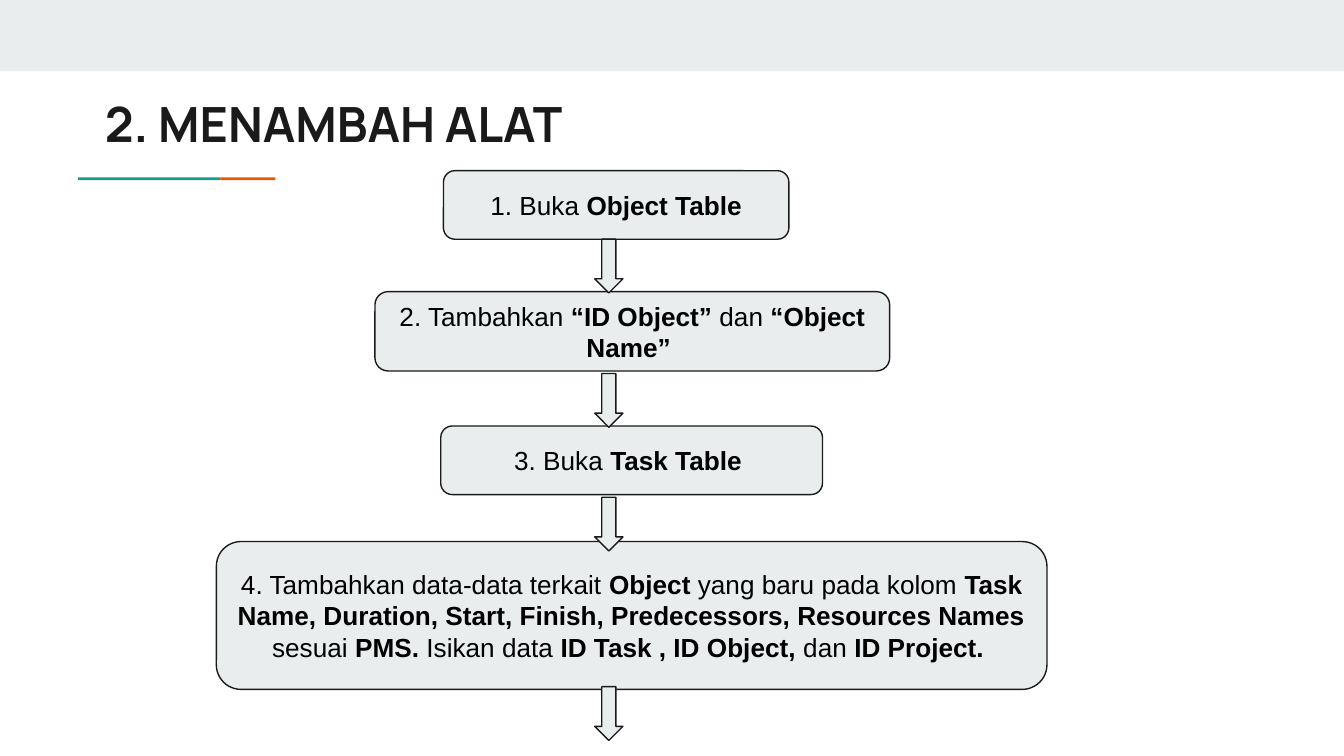
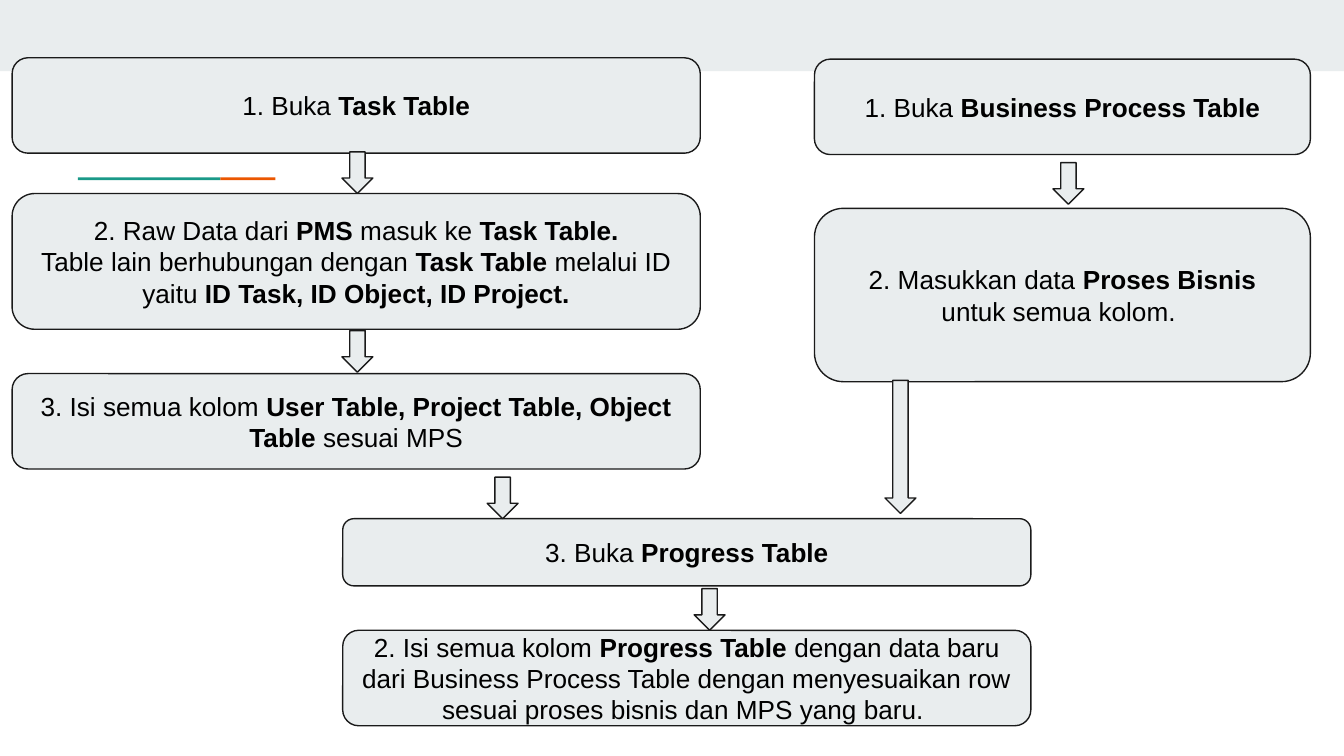
from dataclasses import dataclass

from pptx import Presentation
from pptx.dml.color import RGBColor
from pptx.enum.shapes import MSO_SHAPE
from pptx.enum.text import MSO_ANCHOR, MSO_AUTO_SIZE, PP_ALIGN
from pptx.util import Inches, Pt

RECT, ROUNDED = MSO_SHAPE.RECTANGLE, MSO_SHAPE.ROUNDED_RECTANGLE
DOWN_ARROW = MSO_SHAPE.DOWN_ARROW
LEFT, CENTER = PP_ALIGN.LEFT, PP_ALIGN.CENTER
TOP, MIDDLE = MSO_ANCHOR.TOP, MSO_ANCHOR.MIDDLE
NO_AUTOFIT = MSO_AUTO_SIZE.NONE
TITLE_ONLY, BLANK = 5, 6
SLIDE_WIDTH = 10
SLIDE_HEIGHT = SLIDE_WIDTH * 9 / 16


@dataclass(frozen=True)
class Theme:
    panel: str = "E9EDEE"
    ink: str = "1A1A1A"
    text: str = "000000"
    teal: str = "1A9988"
    orange: str = "EB5600"
    title_font: str = "Manrope"
    body_font: str = "Arial"
    title_size: float = 26
    body_size: float = 14
    line_width: float = 0.75
    inset: float = 0.1


THEME = Theme()


def write(shape, text, font=THEME.body_font, size=THEME.body_size,
          color=THEME.text, align=CENTER, anchor=MIDDLE):
    """Fill a shape with text; ** switches bold on and off, a newline starts a paragraph."""
    tf = shape.text_frame
    tf.word_wrap = True
    tf.auto_size = NO_AUTOFIT
    tf.vertical_anchor = anchor
    tf.margin_left = tf.margin_right = Inches(THEME.inset)
    tf.margin_top = tf.margin_bottom = Inches(THEME.inset)
    for i, line in enumerate(text.split("\n")):
        p = tf.add_paragraph() if i else tf.paragraphs[0]
        p.alignment = align
        for j, part in enumerate(line.split("**")):
            if part:
                r = p.add_run()
                r.text = part
                r.font.name = font
                r.font.size = Pt(size)
                r.font.bold = j % 2 == 1
                r.font.color.rgb = RGBColor.from_string(color)


def add_block(slide, kind, left, top, width, height, fill=THEME.panel, outlined=True):
    sp = slide.shapes.add_shape(kind, Inches(left), Inches(top),
                                Inches(width), Inches(height))
    sp.shadow.inherit = False
    sp.fill.solid()
    sp.fill.fore_color.rgb = RGBColor.from_string(fill)
    if outlined:
        sp.line.color.rgb = RGBColor.from_string(THEME.ink)
        sp.line.width = Pt(THEME.line_width)
    else:
        sp.line.fill.background()
    return sp


def add_frame(slide):
    """Top band and two-colour accent rule."""
    add_block(slide, RECT, 0, 0, SLIDE_WIDTH, 0.53, outlined=False)
    add_block(slide, RECT, 0.58, 1.32, 1.06, 0.02, THEME.teal, outlined=False)
    add_block(slide, RECT, 1.64, 1.32, 0.41, 0.02, THEME.orange, outlined=False)


def add_title(slide, text, left, top, width, height):
    title = slide.shapes.title
    title.left, title.top = Inches(left), Inches(top)
    title.width, title.height = Inches(width), Inches(height)
    write(title, f"**{text}**", font=THEME.title_font, size=THEME.title_size,
          color=THEME.ink, align=LEFT, anchor=TOP)


def add_steps(slide, left, top, width, steps):
    """Stack centred step boxes; each step is (offset, height, text)."""
    for offset, height, text in steps:
        write(add_block(slide, ROUNDED, left, top + offset, width, height), text)


def add_arrow(slide, center, tip, length=0.31, width=0.23):
    """Down arrow given by its centre line and the height of its tip."""
    add_block(slide, DOWN_ARROW, center - width / 2, tip - length, width, length)


def build_add_tool(prs):
    slide = prs.slides.add_slide(prs.slide_layouts[TITLE_ONLY])
    add_frame(slide)
    add_title(slide, "2. MENAMBAH ALAT", 0.68, 0.6, 8.41, 0.59)
    boxes = [
        (3.3, 1.27, 2.57, 0.51, "1. Buka **Object Table**"),
        (2.79, 2.17, 3.83, 0.59, "2. Tambahkan **“ID Object”** dan **“Object Name” **"),
        (3.28, 3.17, 2.84, 0.51, "3. Buka **Task Table **"),
        (1.61, 4.03, 6.18, 1.1,
         "4. Tambahkan data-data terkait **Object** yang baru pada kolom "
         "**Task Name, Duration, Start, Finish, Predecessors, Resources Names **"
         "sesuai **PMS.** Isikan data **ID Task , ID Object,** dan **ID Project. **"),
    ]
    for left, top, width, height, text in boxes:
        add_steps(slide, left, top, width, [(0, height, text)])
    for tip in (2.18, 3.18, 4.1, 5.51):
        add_arrow(slide, 4.53, tip, length=0.4, width=0.21)


def build_progress(prs):
    slide = prs.slides.add_slide(prs.slide_layouts[BLANK])
    add_frame(slide)
    add_steps(slide, 0.09, 0.43, 5.12, [
        (0, 0.71, "1. Buka **Task Table**"),
        (1.01, 1.01, "2. Raw Data dari **PMS** masuk ke **Task Table.**\n"
                     "Table lain berhubungan dengan **Task Table** melalui ID yaitu "
                     "**ID Task, ID Object, ID Project.**"),
        (2.35, 0.71, "3. Isi semua kolom **User Table, Project Table, Object Table **"
                     "sesuai MPS"),
    ])
    add_steps(slide, 6.06, 0.44, 3.69, [
        (0, 0.71, "1. Buka **Business Process Table**"),
        (1.11, 1.29, "2. Masukkan data **Proses Bisnis** untuk semua kolom. "),
    ])
    add_steps(slide, 2.55, 3.86, 5.12, [
        (0, 0.5, "3. Buka **Progress Table**"),
        (0.83, 0.71, "2. Isi semua kolom **Progress Table** dengan data baru dari "
                     "Business Process Table dengan menyesuaikan row sesuai proses "
                     "bisnis dan MPS yang baru. "),
    ])
    for center, tip in ((2.66, 1.44), (2.66, 2.77), (3.74, 3.86),
                        (5.28, 4.69), (7.95, 1.52)):
        add_arrow(slide, center, tip)
    add_arrow(slide, 6.7, 3.82, length=0.99)


def main():
    prs = Presentation()
    prs.slide_width, prs.slide_height = Inches(SLIDE_WIDTH), Inches(SLIDE_HEIGHT)
    build_add_tool(prs)
    build_progress(prs)
    prs.save("out.pptx")


if __name__ == "__main__":
    main()
